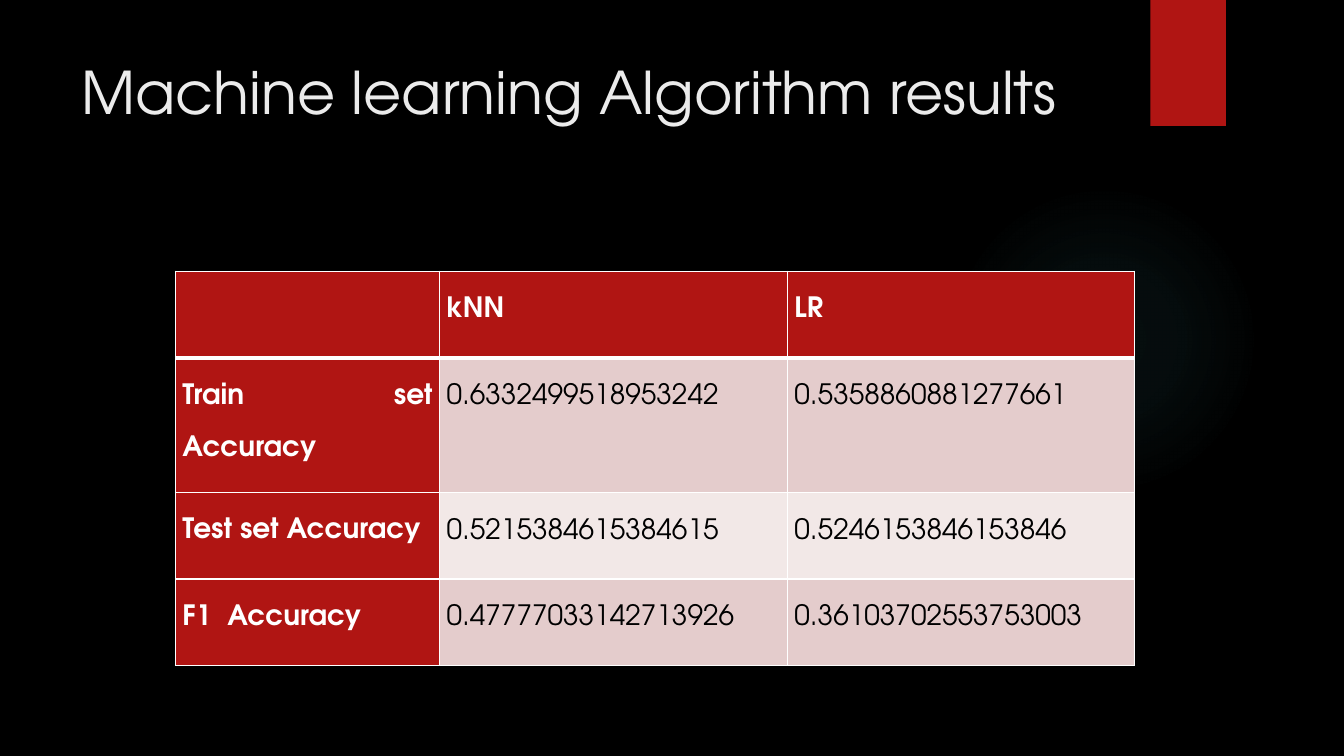
from dataclasses import dataclass

import lxml.etree
import pptx
import pptx.dml.color
import pptx.enum.shapes
import pptx.enum.text
import pptx.oxml
import pptx.oxml.ns
import pptx.util

Inches = pptx.util.Inches
Align = pptx.enum.text.PP_ALIGN
Preset = pptx.enum.shapes.MSO_SHAPE


@dataclass(frozen=True)
class Theme:
    font: str = "TeX Gyre Adventor"
    background: str = "000000"
    accent: str = "B01513"
    glow: str = "50B9C1"
    title: str = "EBEBEB"
    light: str = "FFFFFF"
    dark: str = "000000"
    odd_row: str = "E4CCCC"
    even_row: str = "F2E8E7"
    title_size: float = 42
    table_size: float = 20
    border: float = 1
    header_rule: float = 3


@dataclass(frozen=True)
class Box:
    left: float
    top: float
    width: float
    height: float

    def lengths(self) -> tuple:
        return (Inches(self.left), Inches(self.top),
                Inches(self.width), Inches(self.height))


@dataclass(frozen=True)
class ResultRow:
    label: str
    knn: str
    lr: str


THEME = Theme()
GLOW = Box(9.41, 1.83, 3.08, 3.08)
RIBBON = Box(11.41, 0, 0.75, 1.25)
TITLE = Box(0.71, 0.5, 10.29, 1.53)
RESULTS = Box(1.74, 2.69, 9.51, 3.44)
COLUMN_WIDTHS = (2.62, 3.45, 3.44)
GLOW_STOPS = ((0, 7), (36, 6), (69, 0))  # position and opacity, percent
ROWS = (
    ResultRow("", "kNN", "LR"),
    ResultRow("Train set Accuracy", "0.6332499518953242", "0.5358860881277661"),
    ResultRow("Test set Accuracy", "0.5215384615384615", "0.5246153846153846"),
    ResultRow("F1  Accuracy", "0.47777033142713926", "0.36103702553753003"),
)


def rgb(color: str) -> pptx.dml.color.RGBColor:
    return pptx.dml.color.RGBColor.from_string(color)


def write_text(frame, text: str, *, size: float, color: str, bold: bool = False,
               align=Align.LEFT, line_spacing: float = 1.0) -> None:
    paragraph = frame.paragraphs[0]
    paragraph.alignment = align
    paragraph.line_spacing = line_spacing
    if not text:
        return
    run = paragraph.add_run()
    run.text = text
    run.font.name = THEME.font
    run.font.size = pptx.util.Pt(size)
    run.font.bold = bold
    run.font.color.rgb = rgb(color)


def add_plain_shape(slide, preset, box: Box, color: str):
    shape = slide.shapes.add_shape(preset, *box.lengths())
    shape.shadow.inherit = False
    shape.fill.solid()
    shape.fill.fore_color.rgb = rgb(color)
    shape.line.fill.background()
    return shape


def add_glow(slide) -> None:
    """Draw a disc whose colour fades out from its centre."""
    glow = add_plain_shape(slide, Preset.OVAL, GLOW, THEME.glow)
    stops = "".join(
        f'<a:gs pos="{position * 1000}"><a:srgbClr val="{THEME.glow}">'
        f'<a:alpha val="{opacity * 1000}"/></a:srgbClr></a:gs>'
        for position, opacity in GLOW_STOPS)
    gradient = pptx.oxml.parse_xml(
        f'<a:gradFill {pptx.oxml.ns.nsdecls("a")}><a:gsLst>{stops}</a:gsLst>'
        '<a:path path="circle"><a:fillToRect l="50000" t="50000" r="50000" '
        'b="50000"/></a:path></a:gradFill>')
    properties = glow.fill._xPr
    properties.replace(properties.find(pptx.oxml.ns.qn("a:solidFill")), gradient)


def add_title(slide) -> None:
    title = slide.shapes.add_textbox(*TITLE.lengths()).text_frame
    title.word_wrap = True
    title.vertical_anchor = pptx.enum.text.MSO_ANCHOR.TOP
    write_text(title, "Machine learning Algorithm results",
               size=THEME.title_size, color=THEME.title)


def set_borders(cell, widths: dict[str, float]) -> None:
    properties = cell._tc.get_or_add_tcPr()
    for side, width in widths.items():
        border = lxml.etree.SubElement(
            properties, pptx.oxml.ns.qn(f"a:ln{side}"), w=str(pptx.util.Pt(width)))
        fill = lxml.etree.SubElement(border, pptx.oxml.ns.qn("a:solidFill"))
        lxml.etree.SubElement(fill, pptx.oxml.ns.qn("a:srgbClr"), val=THEME.light)


def format_cell(cell, text: str, row: int, column: int) -> None:
    heading = row == 0 or column == 0
    body_fill = THEME.odd_row if row % 2 else THEME.even_row
    set_borders(cell, {
        "L": THEME.border,
        "R": THEME.border,
        "T": THEME.header_rule if row == 1 else THEME.border,
        "B": THEME.header_rule if row == 0 else THEME.border,
    })
    cell.fill.solid()
    cell.fill.fore_color.rgb = rgb(THEME.accent if heading else body_fill)
    cell.margin_left = cell.margin_right = Inches(0.07)
    cell.margin_top = cell.margin_bottom = 0
    write_text(cell.text_frame, text, size=THEME.table_size, bold=heading,
               color=THEME.light if heading else THEME.dark,
               align=Align.JUSTIFY, line_spacing=2.0)


def add_results(slide) -> None:
    table = slide.shapes.add_table(
        len(ROWS), len(COLUMN_WIDTHS), *RESULTS.lengths()).table
    table.first_col = True
    for column, width in zip(table.columns, COLUMN_WIDTHS):
        column.width = Inches(width)
    for row, result in enumerate(ROWS):
        for column, text in enumerate((result.label, result.knn, result.lr)):
            format_cell(table.cell(row, column), text, row, column)


def main() -> None:
    deck = pptx.Presentation()
    deck.slide_width, deck.slide_height = Inches(13.33), Inches(7.5)
    slide = deck.slides.add_slide(deck.slide_layouts[6])
    slide.background.fill.solid()
    slide.background.fill.fore_color.rgb = rgb(THEME.background)
    add_glow(slide)
    add_plain_shape(slide, Preset.RECTANGLE, RIBBON, THEME.accent)
    add_title(slide)
    add_results(slide)
    deck.save("out.pptx")


if __name__ == "__main__":
    main()
